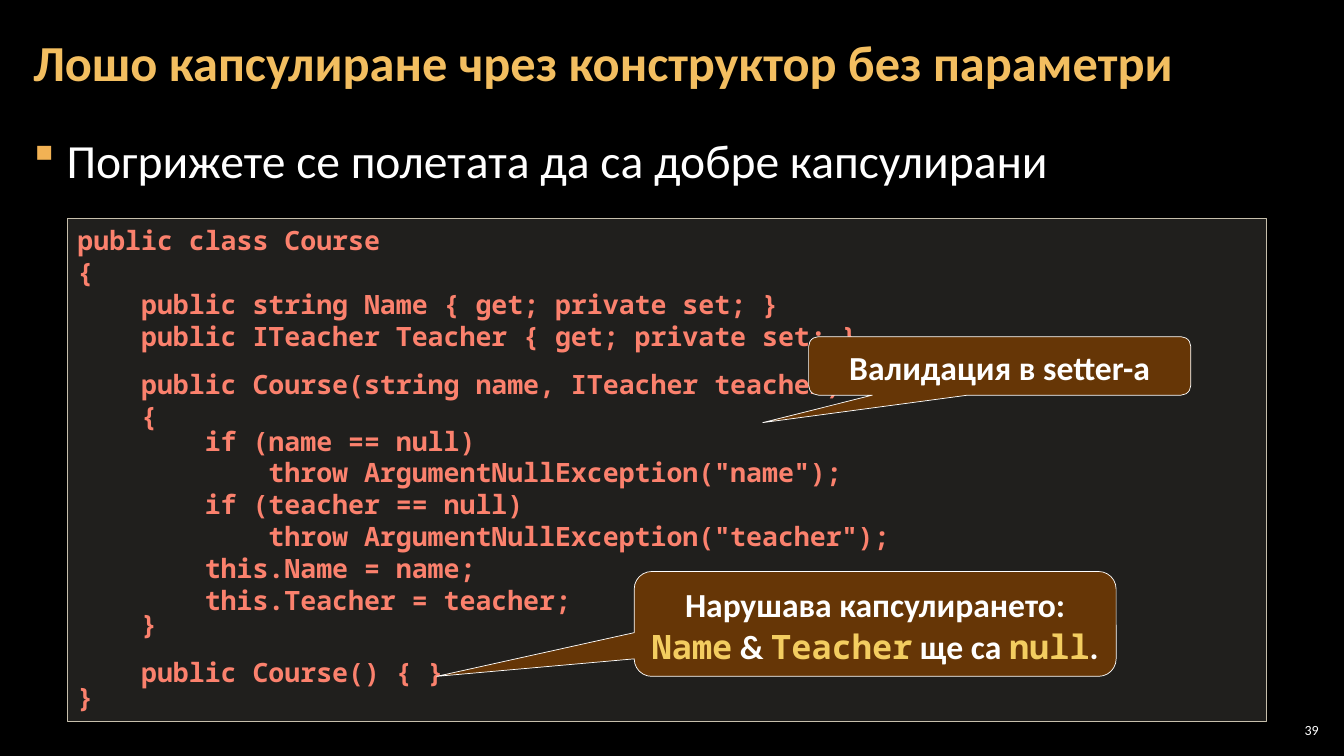
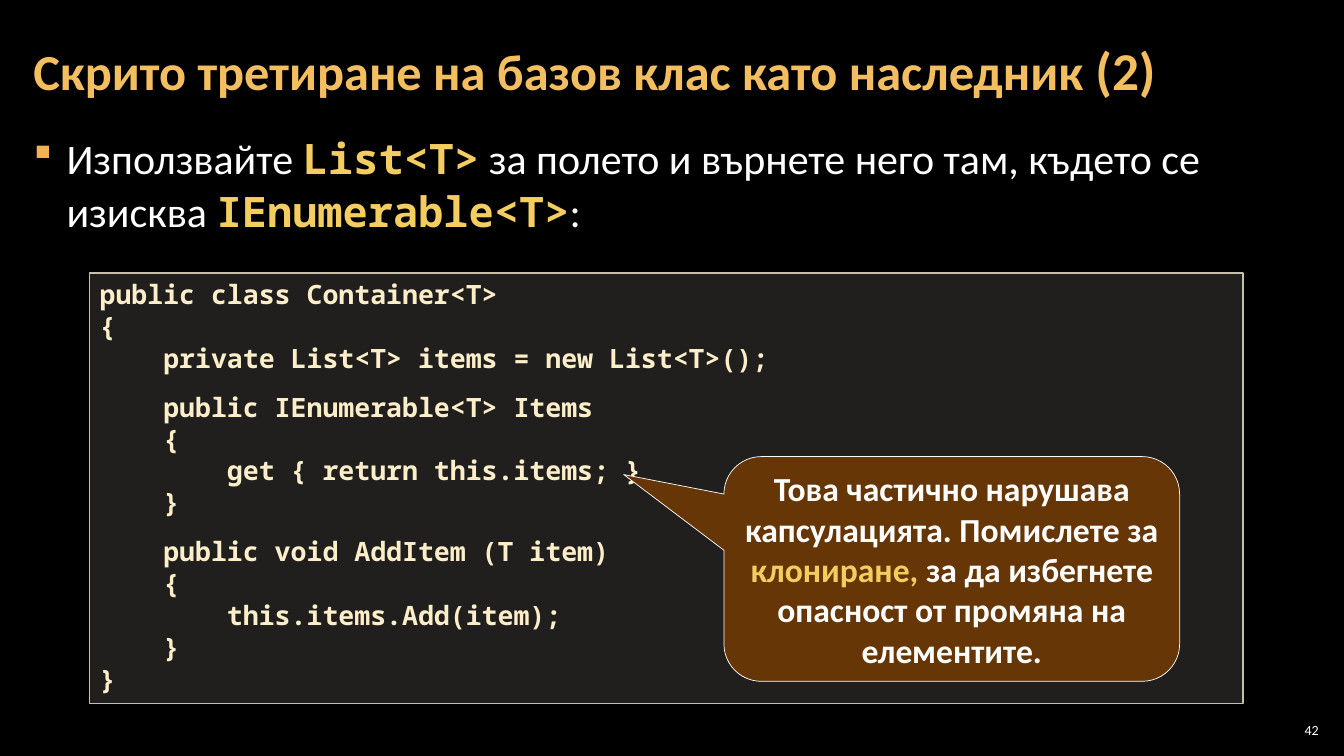
"""Build two dark slides on encapsulation, each with a code panel and callouts."""
from dataclasses import dataclass
from typing import NamedTuple

from lxml.etree import SubElement
from pptx import Presentation
from pptx.dml.color import RGBColor
from pptx.enum.shapes import MSO_SHAPE
from pptx.enum.text import MSO_ANCHOR as Anchor, PP_ALIGN as Align
from pptx.oxml.ns import qn
from pptx.util import Emu, Length, Pt

PX = 9144
SANS, MONO = "Calibri", "Noto Sans Mono"
BLACK = RGBColor(0x00, 0x00, 0x00)
WHITE = RGBColor(0xFF, 0xFF, 0xFF)
AMBER = RGBColor(0xF3, 0xBE, 0x60)
ORANGE = RGBColor(0xF2, 0xB2, 0x54)
GOLD = RGBColor(0xF3, 0xCD, 0x60)
BROWN = RGBColor(0x66, 0x36, 0x06)
SAND = RGBColor(0xD9, 0xD5, 0xC7)
EDGE = RGBColor(0xC7, 0xBF, 0xAC)
CORAL = RGBColor(0xFB, 0x81, 0x6D)
CREAM = RGBColor(0xFB, 0xEE, 0xC9)


class Box(NamedTuple):
    left: int
    top: int
    width: int
    height: int


class Run(NamedTuple):
    text: str
    tint: RGBColor | None = None
    face: str | None = None
    bold: bool | None = None
    size: int | None = None


@dataclass(frozen=True)
class Bullet:
    box: Box
    runs: list[Run]
    size: int
    space: float = 1.0


@dataclass(frozen=True)
class Code:
    box: Box
    text: str
    tint: RGBColor
    tight: tuple[int, ...] = ()


@dataclass(frozen=True)
class Callout:
    box: Box
    tail: tuple[float, float]
    runs: list[Run]
    space: Length | None = None
    inset: tuple[int, int] = (10, 5)


@dataclass(frozen=True)
class Page:
    number: int
    box: Box
    title: list[Run]
    bullet: Bullet
    code: Code
    notes: list[Callout]


def term(text: str) -> Run:
    """Return a highlighted code term."""
    return Run(text, GOLD, MONO, True)


def place(box: Box) -> list[Emu]:
    """Turn a box in px into EMU."""
    return [Emu(side * PX) for side in box]


def frame(shape, inset: tuple[int, int], anchor: Anchor):
    """Set wrapping, insets and anchor, and return the text frame."""
    body = shape.text_frame
    body.word_wrap = True
    body.margin_left = body.margin_right = Emu(inset[0] * PX)
    body.margin_top = body.margin_bottom = Emu(inset[1] * PX)
    body.vertical_anchor = anchor
    return body


def style(font, size: int, tint: RGBColor, face: str = SANS, bold: bool = False) -> None:
    """Set every trait of a font."""
    font.size, font.name, font.bold = Pt(size), face, bold
    font.color.rgb = tint


def write(para, runs: list[Run]) -> None:
    """Add runs, with the traits in which they differ from the paragraph."""
    for item in runs:
        run = para.add_run()
        run.text = item.text
        if item.tint is not None:
            run.font.color.rgb = item.tint
        if item.face:
            run.font.name = item.face
        if item.bold is not None:
            run.font.bold = item.bold
        if item.size:
            run.font.size = Pt(item.size)


def panel(slide, kind: MSO_SHAPE, box: Box, fill: RGBColor, edge: RGBColor, width: float):
    """Add a filled and outlined shape."""
    shape = slide.shapes.add_shape(kind, *place(box))
    shape.shadow.inherit = False
    shape.fill.solid()
    shape.fill.fore_color.rgb = fill
    shape.line.color.rgb = edge
    shape.line.width = Pt(width)
    return shape


def draw_title(slide, box: Box, runs: list[Run]) -> None:
    """Move and fill the title placeholder."""
    title = slide.shapes.title
    title.left, title.top, title.width, title.height = place(box)
    para = frame(title, (12, 4), Anchor.MIDDLE).paragraphs[0]
    para.alignment, para.line_spacing = Align.LEFT, 0.9
    style(para.font, 36, AMBER, bold=True)
    write(para, runs)


def draw_bullet(slide, item: Bullet) -> None:
    """Add the statement with its small square bullet."""
    shape = slide.shapes.add_textbox(*place(item.box))
    para = frame(shape, (12, 4), Anchor.TOP).paragraphs[0]
    props = para._p.get_or_add_pPr()
    props.set("marL", str(33 * PX))
    props.set("indent", str(-33 * PX))
    tint = SubElement(props, qn("a:buClr"))
    SubElement(tint, qn("a:srgbClr"), val=str(ORANGE))
    SubElement(props, qn("a:buFont"), typeface="Wingdings", charset="2")
    SubElement(props, qn("a:buChar"), char="§")
    para.line_spacing = item.space
    para.space_after = Pt(6)
    style(para.font, item.size, WHITE)
    write(para, item.runs)


def draw_code(slide, item: Code) -> None:
    """Add the code panel, turning blank lines into paragraph gaps."""
    shape = panel(slide, MSO_SHAPE.RECTANGLE, item.box, SAND, EDGE, 1)
    color = shape.fill._xPr.find(".//" + qn("a:srgbClr"))
    SubElement(color, qn("a:alpha"), val="15000")
    body = frame(shape, (10, 5), Anchor.TOP)
    gap, count = False, 0
    for line in item.text.strip().split("\n"):
        if not line:
            gap = True
            continue
        para = body.add_paragraph() if count else body.paragraphs[0]
        para.alignment = Align.LEFT
        if gap:
            para.space_before = Pt(12)
        if count in item.tight:
            para.line_spacing = 0.75
        style(para.font, 19, item.tint, MONO, True)
        para.add_run().text = line
        gap, count = False, count + 1


def draw_note(slide, item: Callout) -> None:
    """Add a speech callout."""
    kind = MSO_SHAPE.ROUNDED_RECTANGULAR_CALLOUT
    shape = panel(slide, kind, item.box, BROWN, WHITE, 0.5)
    shape.adjustments[0], shape.adjustments[1] = item.tail
    para = frame(shape, item.inset, Anchor.MIDDLE).paragraphs[0]
    para.alignment = Align.CENTER
    para.line_spacing = item.space
    style(para.font, 24, WHITE, bold=True)
    write(para, item.runs)


def draw_number(slide, number: int) -> None:
    """Add the page number."""
    shape = slide.shapes.add_textbox(*place(Box(1265, 714, 47, 21)))
    para = frame(shape, (4, 4), Anchor.MIDDLE).paragraphs[0]
    para.alignment = Align.RIGHT
    style(para.font, 10, WHITE)
    para.add_run().text = str(number)


COURSE = """
public class Course
{
    public string Name { get; private set; }
    public ITeacher Teacher { get; private set; }

    public Course(string name, ITeacher teacher)
    {
        if (name == null)
            throw ArgumentNullException("name");
        if (teacher == null)
            throw ArgumentNullException("teacher");
        this.Name = name;
        this.Teacher = teacher;
    }

    public Course() { }
}
"""

HOLDER = """
public class Container<T>
{
    private List<T> items = new List<T>();

    public IEnumerable<T> Items
    {
        get { return this.items; }
    }

    public void AddItem (T item)
    {
        this.items.Add(item);
    }
}
"""

PAGES = [
    Page(
        39, Box(21, 4, 1291, 121),
        [Run("Лошо капсулиране чрез конструктор без параметри")],
        Bullet(Box(21, 126, 1291, 609),
               [Run("Погрижете се полетата да са добре капсулирани")], 34),
        Code(Box(67, 217, 1189, 499), COURSE, CORAL, (6, 12, 14)),
        [
            Callout(Box(629, 567, 478, 104), (-0.91, 0.5),
                    [Run("Нарушава капсулирането: "), term("Name"), Run(" & "),
                     term("Teacher"), Run(" ще са "), term("null"), Run(".")],
                    Pt(30), (5, 5)),
            Callout(Box(802, 334, 379, 58), (-0.62, 0.97),
                    [Run("Валидация в setter-а")], Pt(30)),
        ],
    ),
    Page(
        42, Box(21, 4, 1244, 137),
        [Run("Скрито третиране на базов клас като наследник "), Run("(2)", size=38)],
        Bullet(Box(21, 125, 1291, 577),
               [Run("Използвайте "), term("List<T>"),
                Run(" за полето и върнете него там, където се изисква "),
                term("IEnumerable<T>"), Run(":")], 30, 1.05),
        Code(Box(89, 271, 1144, 427), HOLDER, CREAM),
        [
            Callout(Box(718, 453, 452, 223), (-0.72, -0.42),
                    [Run("Това частично нарушава капсулацията. Помислете за "),
                     Run("клониране, ", GOLD),
                     Run("за да избегнете опасност от промяна на елементите.")],
                    inset=(4, 0)),
        ],
    ),
]


def main() -> None:
    """Build and save the slides."""
    deck = Presentation()
    deck.slide_width, deck.slide_height = Emu(1333 * PX), Emu(750 * PX)
    back = deck.slide_master.background.fill
    back.solid()
    back.fore_color.rgb = BLACK
    for page in PAGES:
        slide = deck.slides.add_slide(deck.slide_layouts[5])
        draw_title(slide, page.box, page.title)
        draw_bullet(slide, page.bullet)
        draw_code(slide, page.code)
        for note in page.notes:
            draw_note(slide, note)
        draw_number(slide, page.number)
    deck.save("out.pptx")


if __name__ == "__main__":
    main()
